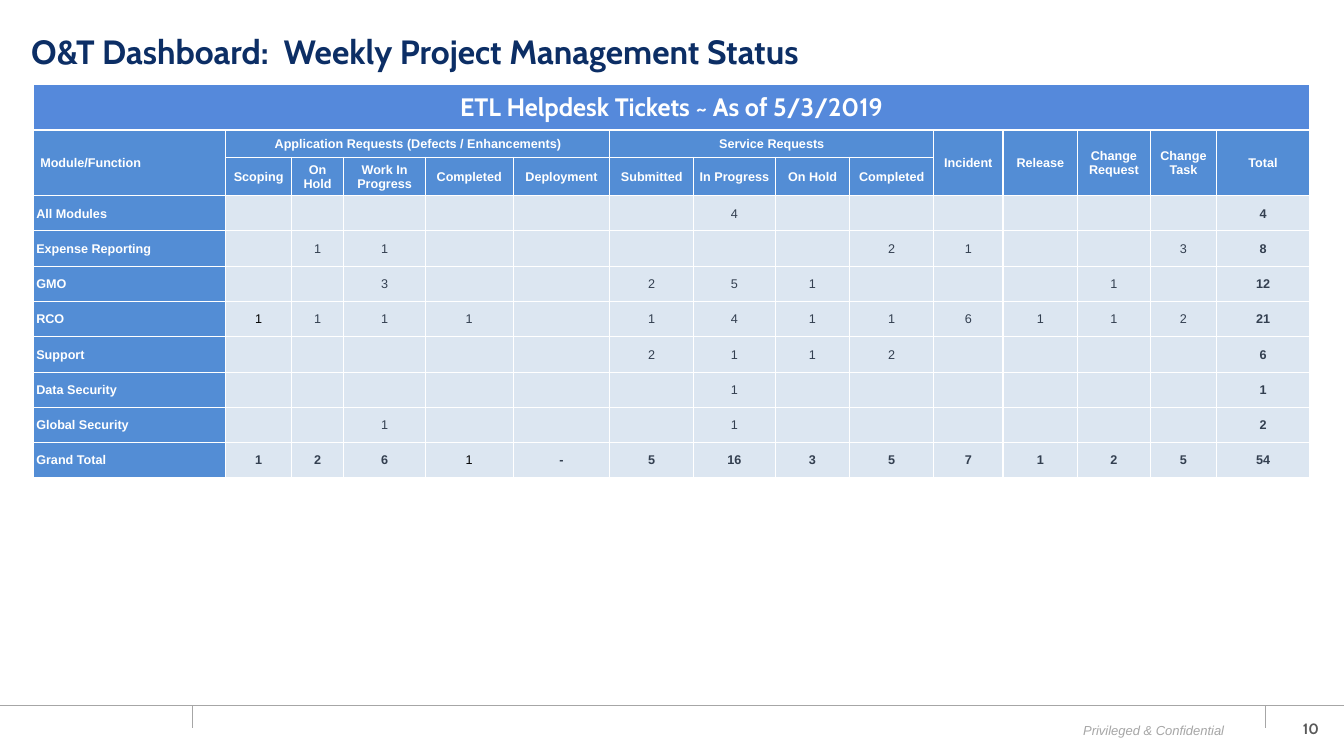
"""Build the weekly project management status slide with its ticket table."""
from lxml import etree
from pptx import Presentation
from pptx.dml.color import RGBColor
from pptx.enum.shapes import MSO_CONNECTOR
from pptx.enum.text import MSO_ANCHOR, PP_ALIGN
from pptx.oxml.ns import qn
from pptx.util import Inches, Pt

LEFT, CENTER, RIGHT = PP_ALIGN.LEFT, PP_ALIGN.CENTER, PP_ALIGN.RIGHT
MIDDLE = MSO_ANCHOR.MIDDLE
STRAIGHT = MSO_CONNECTOR.STRAIGHT

THEME = {
    "banner": "5589DB", "header": "538DD5", "body": "DCE6F1",
    "border": "FFFFFF", "rule": "A6A6A6",
    "title": ("0C2E65", {"name": "Cabin", "size": Pt(24), "bold": True}),
    "banner_text": ("FFFFFF", {"name": "Cabin", "size": Pt(18), "bold": True}),
    "head_text": ("FFFFFF", {"name": "Arial", "size": Pt(9), "bold": True}),
    "value": ("333F50", {"name": "Arial", "size": Pt(9), "bold": False}),
    "total": ("333F50", {"name": "Arial", "size": Pt(9), "bold": True}),
    "plain": ("000000", {"name": "Arial", "size": Pt(9), "bold": False}),
    "footer": ("A6A6A6", {"name": "Arial", "size": Pt(9.3), "italic": True}),
    "number": ("595959", {"name": "Cabin", "size": Pt(10.7), "bold": True}),
}


def write(tf, text, style, align):
    color, font = THEME[style]
    tf.text = text
    for p in tf.paragraphs:
        p.alignment = align
        for r in p.runs:
            for name, value in font.items():
                setattr(r.font, name, value)
            r.font.color.rgb = RGBColor.from_string(color)


def format_cell(cell, fill, margins, borders):
    cell.fill.solid()
    cell.fill.fore_color.rgb = RGBColor.from_string(THEME[fill])
    cell.vertical_anchor = MIDDLE
    for side, margin in zip(("left", "top", "right", "bottom"), margins):
        setattr(cell, f"margin_{side}", Inches(margin))
    tcPr = cell._tc.get_or_add_tcPr()
    for i, (side, width) in enumerate(zip("LRTB", borders)):
        ln = etree.Element(qn(f"a:ln{side}"), w=str(Pt(width)))
        solid = etree.SubElement(ln, qn("a:solidFill"))
        etree.SubElement(solid, qn("a:srgbClr"), val=THEME["border"])
        tcPr.insert(i, ln)


prs = Presentation()
prs.slide_width, prs.slide_height = Inches(13.33), Inches(7.5)
s = prs.slides.add_slide(prs.slide_layouts[5])

for x1, y1, x2, y2 in [(12.55, 7, 12.55, 7.22), (0, 7, 13.33, 7), (1.91, 7, 1.91, 7.22)]:
    line = s.shapes.add_connector(STRAIGHT, Inches(x1), Inches(y1), Inches(x2), Inches(y2))
    line.line.color.rgb = RGBColor.from_string(THEME["rule"])
    line.line.width = Pt(0.25)
    etree.SubElement(line._element.spPr, qn("a:effectLst"))

for text, style, box in [
    ("Privileged & Confidential", "footer", (10.6, 7.12, 1.64, 0.26)),
    ("10", "number", (12.77, 7.09, 0.41, 0.28)),
]:
    tf = s.shapes.add_textbox(*map(Inches, box)).text_frame
    tf.word_wrap = False
    write(tf, text, style, RIGHT)

title = s.shapes.title
for name, value in {"left": 0.21, "top": 0.22, "width": 12, "height": 0.62}.items():
    setattr(title, name, Inches(value))
title.text_frame.vertical_anchor = MIDDLE
write(title.text_frame, "O&T Dashboard:  Weekly Project Management Status", "title", LEFT)
title.text_frame.paragraphs[0].line_spacing = 0.9

columns = [1.91, 0.65, 0.52, 0.81, 0.87, 0.96, 0.83, 0.81, 0.74, 0.83,
           0.69, 0.74, 0.72, 0.66, 0.92]
stages = ["Scoping", "On\nHold", "Work In Progress", "Completed", "Deployment",
          "Submitted", "In Progress", "On Hold", "Completed"]
groups = [("Application Requests (Defects / Enhancements)", 1, 5), ("Service Requests", 6, 9)]
tall_heads = {0: "Module/Function", 10: "Incident", 11: "Release",
              12: "Change Request", 13: "Change Task", 14: "Total"}
modules = [
    ("All Modules", ". . . . . . 4 . . . . . . 4"),
    ("Expense Reporting", ". 1 1 . . . . . 2 1 . . 3 8"),
    ("GMO", ". . 3 . . 2 5 1 . . . 1 . 12"),
    ("RCO", "1 1 1 1 . 1 4 1 1 6 1 1 2 21"),
    ("Support", ". . . . . 2 1 1 2 . . . . 6"),
    ("Data Security", ". . . . . . 1 . . . . . . 1"),
    ("Global Security", ". . 1 . . . 1 . . . . . . 2"),
    ("Grand Total", "1 2 6 1 - 5 16 3 5 7 1 2 5 54"),
]
heights = [0.27, 0.38] + [0.35] * len(modules)
plain_cells = {("RCO", 1), ("Grand Total", 4)}
total_col = len(columns) - 1

tables = []
for top, widths, rows in [(0.84, [sum(columns)], [0.45]), (1.29, columns, heights)]:
    table = s.shapes.add_table(len(rows), len(widths), Inches(0.33), Inches(top),
                               Inches(sum(widths)), Inches(sum(rows))).table
    table.first_row = table.horz_banding = False
    for col, width in zip(table.columns, widths):
        col.width = Inches(width)
    for row, height in zip(table.rows, rows):
        row.height = Inches(height)
    tables.append(table)
banner, tickets = tables

format_cell(banner.cell(0, 0), "banner", (0.1, 0.05, 0.1, 0.05), (1, 1, 1, 1))
write(banner.cell(0, 0).text_frame, "ETL Helpdesk Tickets ~ As of 5/3/2019", "banner_text", CENTER)

for i in range(len(heights)):
    for j in range(len(columns)):
        fill = "header" if i < 2 or j == 0 else "body"
        indent = 0.01 if j else 0.07 if i < 2 else 0.03
        thick_bottom = i == 0 and 0 < j < 10 or i == 1 and j == total_col
        borders = (1, 1, 0.5, 1 if thick_bottom else 0.5)
        format_cell(tickets.cell(i, j), fill, (indent, 0.01, 0.01, 0), borders)

for text, first, last in groups:
    tickets.cell(0, first).merge(tickets.cell(0, last))
    write(tickets.cell(0, first).text_frame, text, "head_text", CENTER)
for j, text in tall_heads.items():
    tickets.cell(0, j).merge(tickets.cell(1, j))
    write(tickets.cell(0, j).text_frame, text, "head_text", CENTER if j else LEFT)
for j, text in enumerate(stages, 1):
    write(tickets.cell(1, j).text_frame, text, "head_text", CENTER)

for i, (module, counts) in enumerate(modules, 2):
    write(tickets.cell(i, 0).text_frame, module, "head_text", LEFT)
    for j, count in enumerate(counts.split(), 1):
        if count == ".":
            continue
        style = "total" if j == total_col or module == "Grand Total" else "value"
        if (module, j) in plain_cells:
            style = "plain"
        write(tickets.cell(i, j).text_frame, count, style, CENTER)

prs.save("out.pptx")
